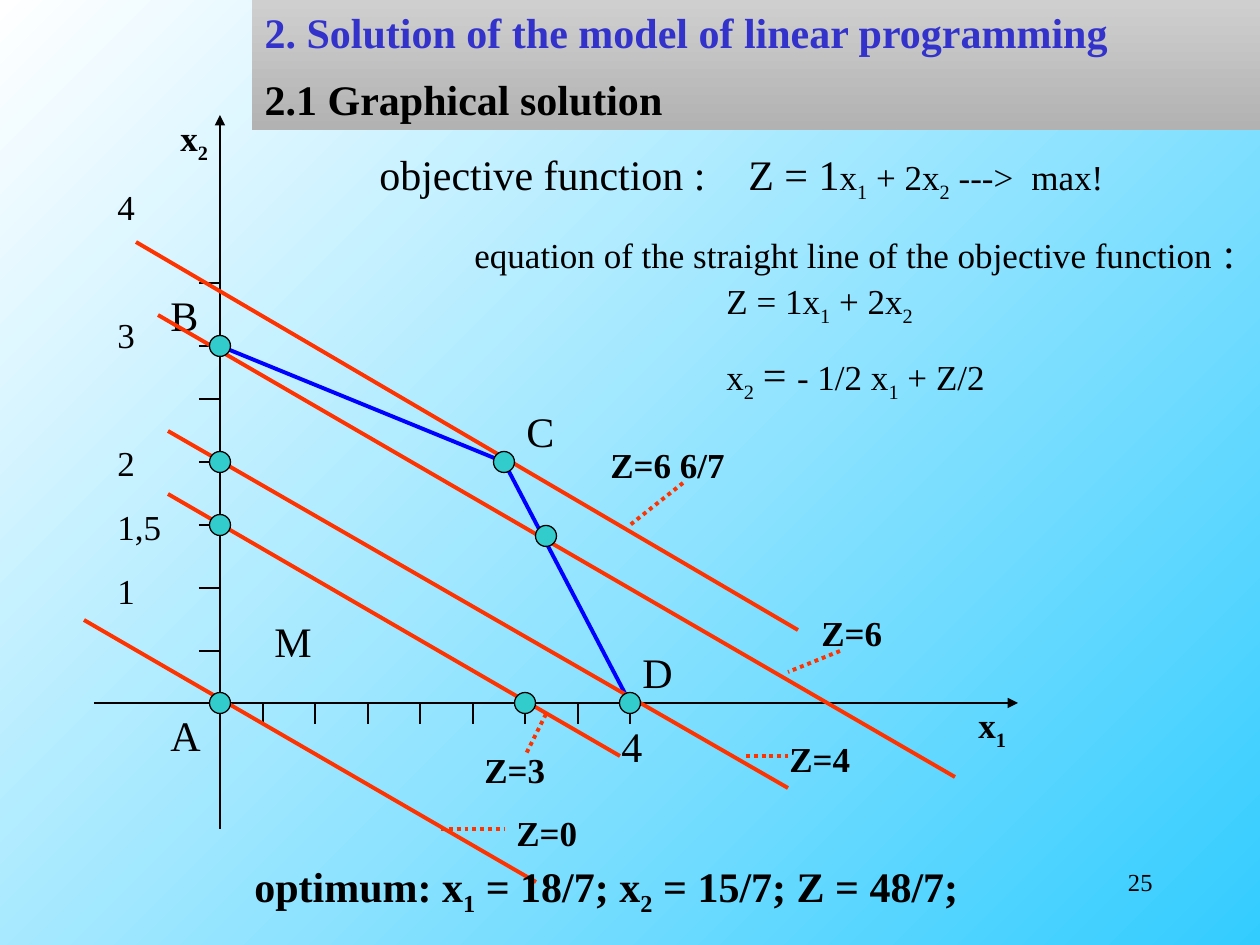
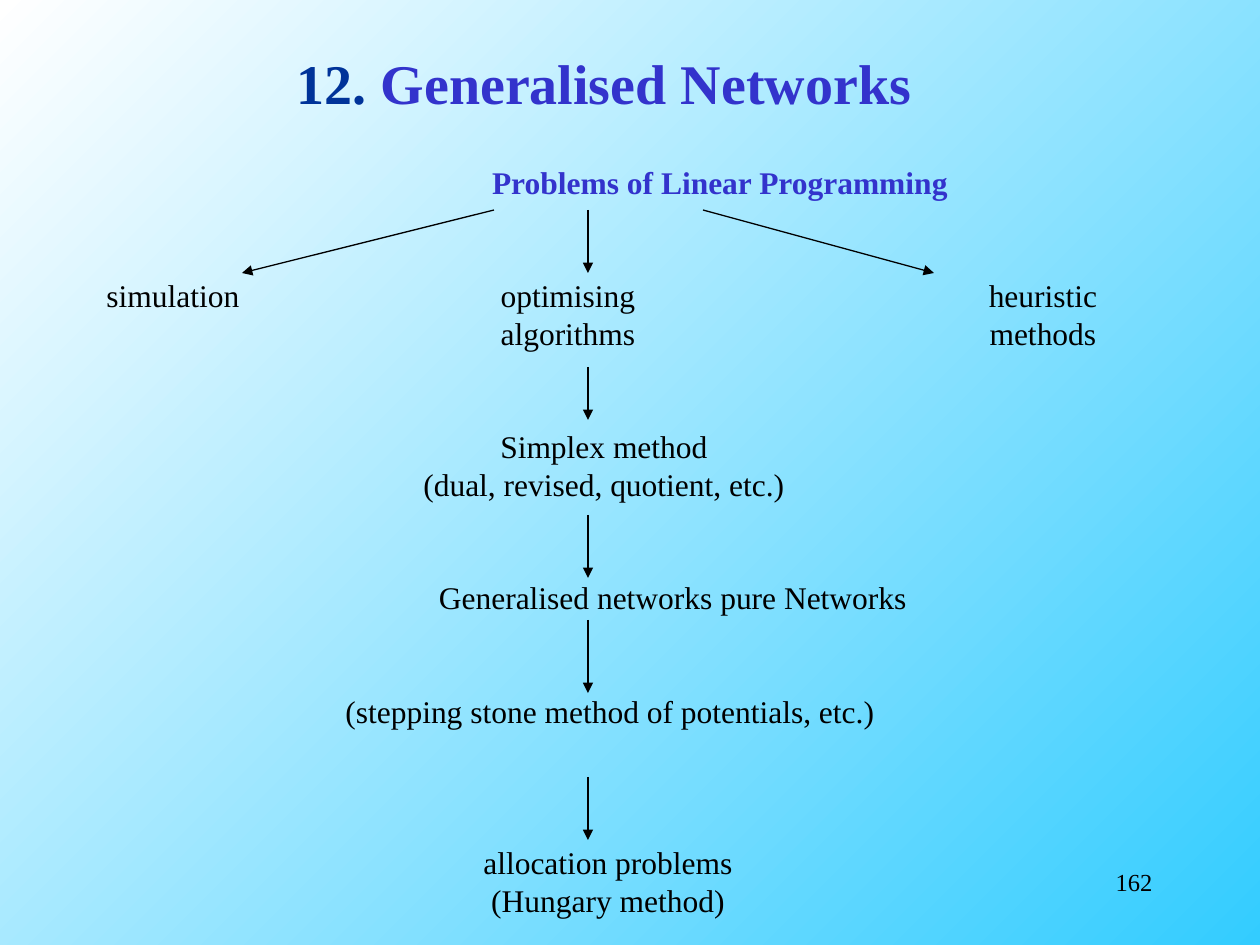
from pptx import Presentation
from pptx import util as u
from pptx.dml.color import RGBColor
from pptx.enum import dml, shapes, text
from pptx.oxml import ns
from lxml import etree

SCALE = 914400 / 126
FONT = "Times New Roman"
BLACK = RGBColor(0, 0, 0)
WHITE = RGBColor(0xFF, 0xFF, 0xFF)
SKY = RGBColor(0x33, 0xCC, 0xFF)
INDIGO = RGBColor(0x33, 0x33, 0xCC)
NAVY = RGBColor(0x00, 0x33, 0x99)
BLUE = RGBColor(0x00, 0x00, 0xFF)
RED = RGBColor(0xFF, 0x33, 0x00)
TEAL = RGBColor(0x33, 0xCC, 0xCC)
SILVER = RGBColor(0xCF, 0xCF, 0xCF)
GREY = RGBColor(0xB2, 0xB2, 0xB2)
LEFT, CENTER, RIGHT = (text.PP_ALIGN.LEFT, text.PP_ALIGN.CENTER,
                       text.PP_ALIGN.RIGHT)


def px(n):
    return u.Emu(round(n * SCALE))


def shade(fill, angle, *colors):
    fill.gradient()
    fill.gradient_angle = angle
    for stop, place, color in zip(fill.gradient_stops, (0, 1), colors):
        stop.position = place
        stop.color.rgb = color


def add_sub(parent, tag, **attrs):
    return etree.SubElement(parent, ns.qn(tag), **attrs)


def write(frame, words, size=24, bold=False, color=BLACK, align=LEFT,
          gap=0, indent=0, tabs=(), first=True):
    """Pieces are strings or (string, format) pairs; x_1 lowers the 1."""
    para = frame.paragraphs[0] if first else frame.add_paragraph()
    para.alignment = align
    para.line_spacing = u.Pt(size * 1.2)
    para.space_before = u.Pt(gap)
    props = para._p.get_or_add_pPr()
    if indent:
        props.set("marL", str(px(indent)))
        props.set("indent", "0")
    if tabs:
        stops = add_sub(props, "a:tabLst")
        for tab in tabs:
            add_sub(stops, "a:tab", pos=str(px(tab)), algn="l")
    for piece in [words] if isinstance(words, str) else words:
        part, style = (piece, {}) if isinstance(piece, str) else piece
        for i, bit in enumerate(part.split("_")):
            for chunk, low in ((bit[:1], True), (bit[1:], False)) if i else ((bit, False),):
                if not chunk:
                    continue
                run = para.add_run()
                run.text = chunk
                run.font.name = FONT
                run.font.size = u.Pt(style.get("size", size))
                run.font.bold = bold
                run.font.color.rgb = style.get("color", color)
                if low:
                    run.font._element.set("baseline", "-25000")


class Deck:
    def __init__(self):
        self.prs = Presentation()
        self.prs.slide_width, self.prs.slide_height = px(1260), px(945)
        shade(self.prs.slide_master.background.fill, 135, SKY, WHITE)
        self.slide = None

    def start(self, number):
        self.slide = self.prs.slides.add_slide(self.prs.slide_layouts[5])
        self.label(number, 903, 861, 262, 63, size=14, align=RIGHT)

    def frame(self, shape):
        frame = shape.text_frame
        frame.word_wrap = True
        frame.auto_size = text.MSO_AUTO_SIZE.NONE
        frame.vertical_anchor = text.MSO_ANCHOR.TOP
        return frame

    def title(self, x, y, w, h):
        shape = self.slide.shapes.title
        shape.left, shape.top, shape.width, shape.height = map(px, (x, y, w, h))
        return shape, self.frame(shape)

    def label(self, words, x, y, w=90, h=60, **style):
        box = self.slide.shapes.add_textbox(*map(px, (x, y, w, h)))
        frame = self.frame(box)
        write(frame, words, **style)
        return frame

    def line(self, ends, color=BLACK, width=0.75, arrow=False, dots=False):
        line = self.slide.shapes.add_connector(
            shapes.MSO_CONNECTOR.STRAIGHT, *map(px, ends))
        line.line.color.rgb = color
        line.line.width = u.Pt(width)
        if dots:
            line.line.dash_style = dml.MSO_LINE.ROUND_DOT
        if arrow:
            add_sub(line.line._get_or_add_ln(), "a:tailEnd", type="triangle")
        add_sub(line._element.spPr, "a:effectLst")

    def dot(self, x, y, size=21):
        dot = self.slide.shapes.add_shape(
            shapes.MSO_SHAPE.OVAL,
            *map(px, (x - size / 2, y - size / 2, size, size)))
        dot.shadow.inherit = False
        dot.fill.solid()
        dot.fill.fore_color.rgb = TEAL
        dot.line.color.rgb = BLACK
        dot.line.width = u.Pt(0.75)


def draw_graph(deck):
    deck.start("25")
    band, frame = deck.title(252, 0, 1008, 130)
    shade(band.fill, 270, SILVER, GREY)
    write(frame, "2. Solution of the model of linear programming",
          bold=True, color=INDIGO)
    write(frame, "2.1 Graphical solution", bold=True, gap=9.6, first=False)

    ox, oy = 220, 703
    deck.line((ox, 829, ox, 115), arrow=True)
    deck.line((94, oy, 1018, oy), arrow=True)
    for y in (*range(651, 398, -63), 346, 283):
        deck.line((199, y, ox, y))
    for k in range(8):
        x = 263 + 105 * k // 2
        deck.line((x, oy, x, oy + 21))
    for name, row in (("4", 0), ("3", 2), ("2", 4), ("1,5", 5), ("1", 6)):
        deck.label(name, 105, 179 + 64 * row, size=20)
    for name, x, y in (("x_1", 966, 703), ("x_2", 168, 116)):
        deck.label(name, x, y, size=20, bold=True)

    small = {"size": 20}
    deck.label(["objective function :\tZ = 1", ("x_1 + 2x_2 --->\tmax!", small)],
               367, 147, 819, 68, tabs=(369, 652))
    frame = deck.label(
        [("equation of the straight line of the objective function", small), " :"],
        462, 220, 798, 195)
    write(frame, [("Z = 1x_1 + 2x_2", small)], indent=252, first=False)
    write(frame, [("x_2 ", small), "= ", ("- 1/2 x_1 + Z/2", small)],
          indent=252, gap=15, first=False)

    for name, x, y in (("A", 158, 703), ("B", 158, 283), ("C", 514, 399),
                       ("D", 630, 640), ("M", 262, 609), ("4", 609, 714)):
        deck.label(name, x, y)

    a, b, c, d = (ox, oy), (ox, 346), (504, 462), (630, oy)
    for ends in (b + c, c + d):
        deck.line(ends, BLUE, 2.25)
    levels = (
        ("Z=3", (472, 742), (168, 494, 620, 756), (546, 714, 525, 756)),
        ("Z=4", (777, 731), (168, 431, 788, 788), (746, 756, 788, 756)),
        ("Z=0", (504, 805), (84, 620, 536, 882), (441, 829, 504, 829)),
        ("Z=6", (809, 605), (158, 315, 955, 777), (840, 651, 788, 672)),
        ("Z=6 6/7", (598, 437), (136, 242, 798, 630), (683, 483, 630, 525)),
    )
    for name, spot, ends, lead in levels:
        deck.line(ends, RED, 2.25)
        deck.line(lead, RED, 2.25, dots=True)
        deck.label(name, *spot, w=150, size=20, bold=True)
    for spot in (a, (ox, 525), (ox, 462), b, c, d, (546, 536), (525, oy)):
        deck.dot(*spot)
    deck.label("optimum: x_1 = 18/7; x_2 = 15/7; Z = 48/7;",
               242, 861, 872, 70, bold=True)


def draw_tree(deck):
    deck.start("162")
    _, frame = deck.title(284, 42, 655, 79)
    write(frame, [("12. ", {"color": NAVY}), "Generalised Networks"],
          size=32, bold=True, color=INDIGO)

    width = 640
    nodes = (
        (0, 720, ["Problems of Linear Programming"]),
        (3, 173, ["simulation"]),
        (3, 568, ["optimising", "algorithms"]),
        (3, 1043, ["heuristic", "methods"]),
        (7, 604, ["Simplex method", "(dual, revised, quotient, etc.)"]),
        (11, 673, ["Generalised networks pure Networks"]),
        (14, 610, ["(stepping stone method of potentials, etc.)"]),
        (18, 608, ["allocation problems", "(Hungary method)"]),
    )
    for row, mid, lines in nodes:
        top = row == 0
        span = width if len(lines[0]) > 12 else 240
        style = dict(size=18, align=CENTER, bold=top,
                     color=INDIGO if top else BLACK)
        frame = deck.label(lines[0], mid - span // 2, 157 + 378 * row // 10,
                           span, 12 + 38 * len(lines), **style)
        for line in lines[1:]:
            write(frame, line, first=False, **style)

    trunk = 588
    for ends in ((494, 210, 242, 273), (703, 210, 934, 273)):
        deck.line(ends, arrow=True)
    for start, end in ((210, 273), (367, 420), (515, 578), (620, 693), (777, 840)):
        deck.line((trunk, start, trunk, end), arrow=True)


def main():
    deck = Deck()
    draw_graph(deck)
    draw_tree(deck)
    deck.prs.save("out.pptx")


if __name__ == "__main__":
    main()
